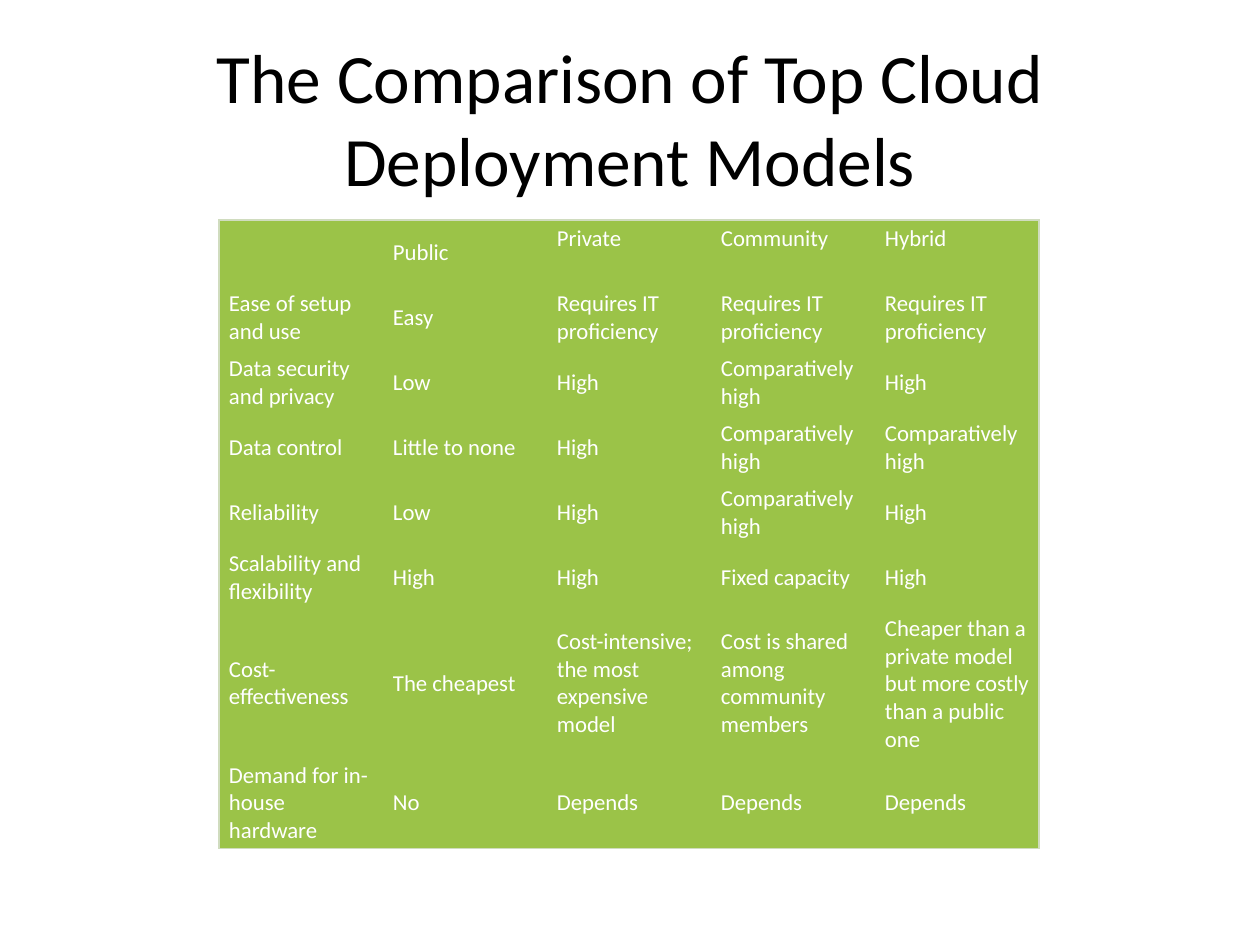
from dataclasses import dataclass

from lxml import etree
from pptx import Presentation
from pptx.dml.color import RGBColor
from pptx.enum.text import MSO_ANCHOR, PP_ALIGN
from pptx.oxml.ns import qn
from pptx.util import Emu, Pt

MIDDLE, TOP = MSO_ANCHOR.MIDDLE, MSO_ANCHOR.TOP
CENTER = PP_ALIGN.CENTER
EMU_PER_PX = 914400 / 126
FONT = "Calibri"
COLORS = {"title": "000000", "cell": "9BC348", "text": "FFFFFF", "border": "D0DCBF"}
COLUMN_WIDTH = 164


@dataclass
class Row:
    height: int
    texts: tuple[str, ...]


ROWS = [
    Row(65, ("", "Public", "Private", "Community", "Hybrid")),
    Row(65, ("Ease of setup and use", "Easy", "Requires IT proficiency",
             "Requires IT proficiency", "Requires IT proficiency")),
    Row(65, ("Data security and privacy", "Low", "High", "Comparatively high", "High")),
    Row(65, ("Data control", "Little to none", "High", "Comparatively high",
             "Comparatively high")),
    Row(65, ("Reliability", "Low", "High", "Comparatively high", "High")),
    Row(65, ("Scalability and flexibility", "High", "High", "Fixed capacity", "High")),
    Row(146, ("Cost-effectiveness", "The cheapest",
              "Cost-intensive; the most expensive model",
              "Cost is shared among community members",
              "Cheaper than a private model but more costly than a public one")),
    Row(92, ("Demand for in-house hardware", "No", "Depends", "Depends", "Depends")),
]


def px(length: int) -> Emu:
    return Emu(round(length * EMU_PER_PX))


def style_text(paragraph, size: float, color: str) -> None:
    font = paragraph.font
    font.name, font.size, font.bold = FONT, Pt(size), False
    font.color.rgb = RGBColor.from_string(COLORS[color])
    for span in paragraph.runs:
        span.font.name, span.font.size = FONT, Pt(size)
        span.font.color.rgb = RGBColor.from_string(COLORS[color])


def set_borders(cell, visible: dict[str, bool]) -> None:
    """Draw the marked sides of a cell and clear the others."""
    properties = cell._tc.get_or_add_tcPr()
    for side, shown in visible.items():
        line = etree.SubElement(properties, qn(f"a:ln{side}"), w=str(Pt(0.75)))
        if shown:
            fill = etree.SubElement(line, qn("a:solidFill"))
            etree.SubElement(fill, qn("a:srgbClr"), val=COLORS["border"])
        else:
            etree.SubElement(line, qn("a:noFill"))


def add_title(page) -> None:
    box = page.shapes.add_textbox(px(63), px(38), px(1134), px(158))
    frame = box.text_frame
    frame.word_wrap = True
    frame.vertical_anchor = MIDDLE
    frame.text = "The Comparison of Top Cloud Deployment Models"
    frame.paragraphs[0].alignment = CENTER
    style_text(frame.paragraphs[0], 39.6, "title")


def add_comparison(page, rows: list[Row]) -> None:
    column_count = len(rows[0].texts)
    table = page.shapes.add_table(
        len(rows), column_count, px(219), px(220),
        px(COLUMN_WIDTH * column_count), px(sum(row.height for row in rows)),
    ).table
    table.first_row = table.horz_banding = False
    for column in table.columns:
        column.width = px(COLUMN_WIDTH)
    for row_index, row in enumerate(rows):
        table.rows[row_index].height = px(row.height)
        for column_index, text in enumerate(row.texts):
            cell = table.cell(row_index, column_index)
            set_borders(cell, {
                "L": column_index == 0, "R": column_index == column_count - 1,
                "T": row_index == 0, "B": row_index == len(rows) - 1,
            })
            cell.fill.solid()
            cell.fill.fore_color.rgb = RGBColor.from_string(COLORS["cell"])
            cell.margin_left = cell.margin_right = px(10)
            cell.margin_top = cell.margin_bottom = px(5)
            cell.vertical_anchor = TOP if row_index == 0 and column_index > 1 else MIDDLE
            cell.text_frame.text = text
            style_text(cell.text_frame.paragraphs[0], 13, "text")


def main() -> None:
    deck = Presentation()
    deck.slide_width, deck.slide_height = px(1260), px(945)
    page = deck.slides.add_slide(deck.slide_layouts[6])
    add_title(page)
    add_comparison(page, ROWS)
    deck.save("out.pptx")


if __name__ == "__main__":
    main()
